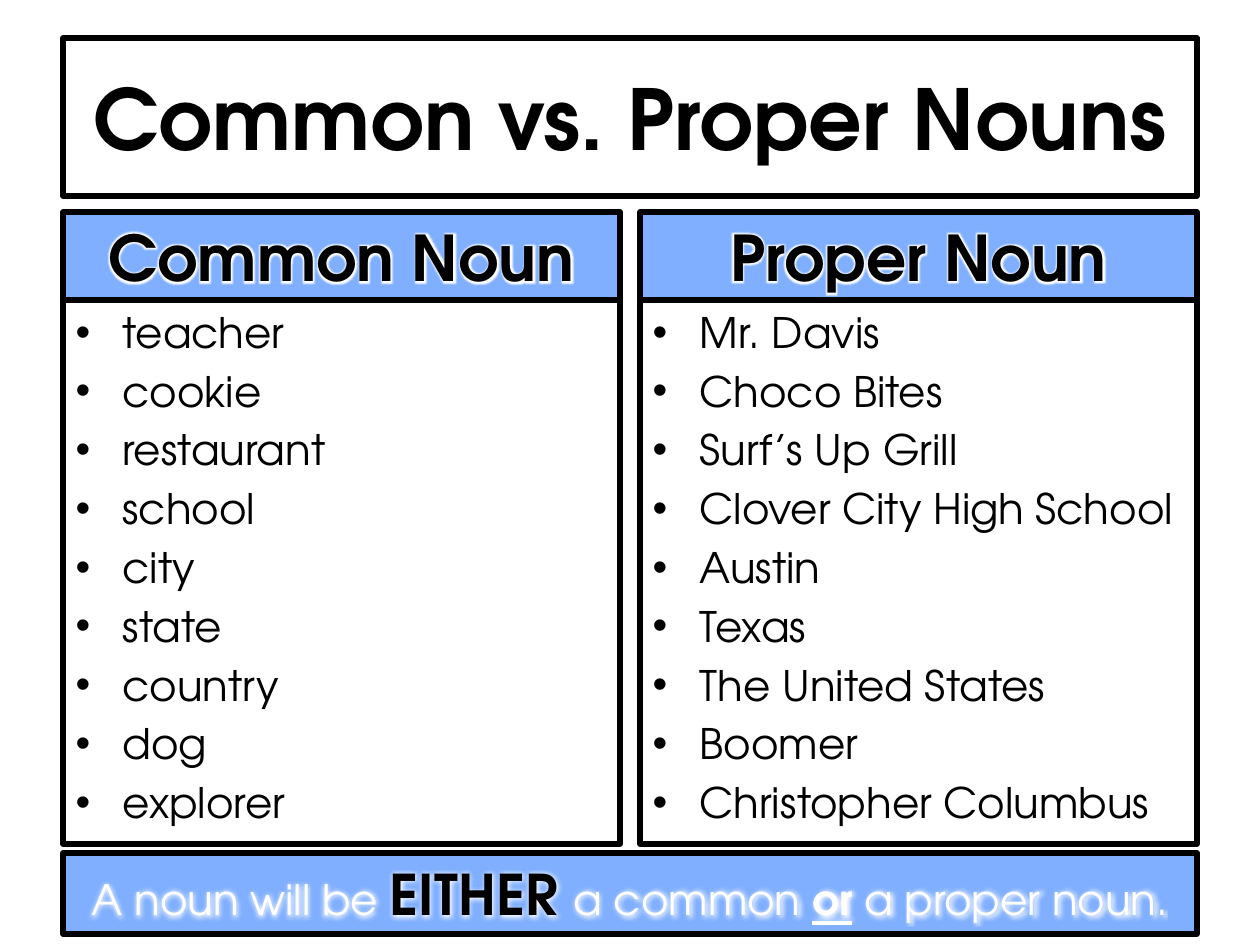
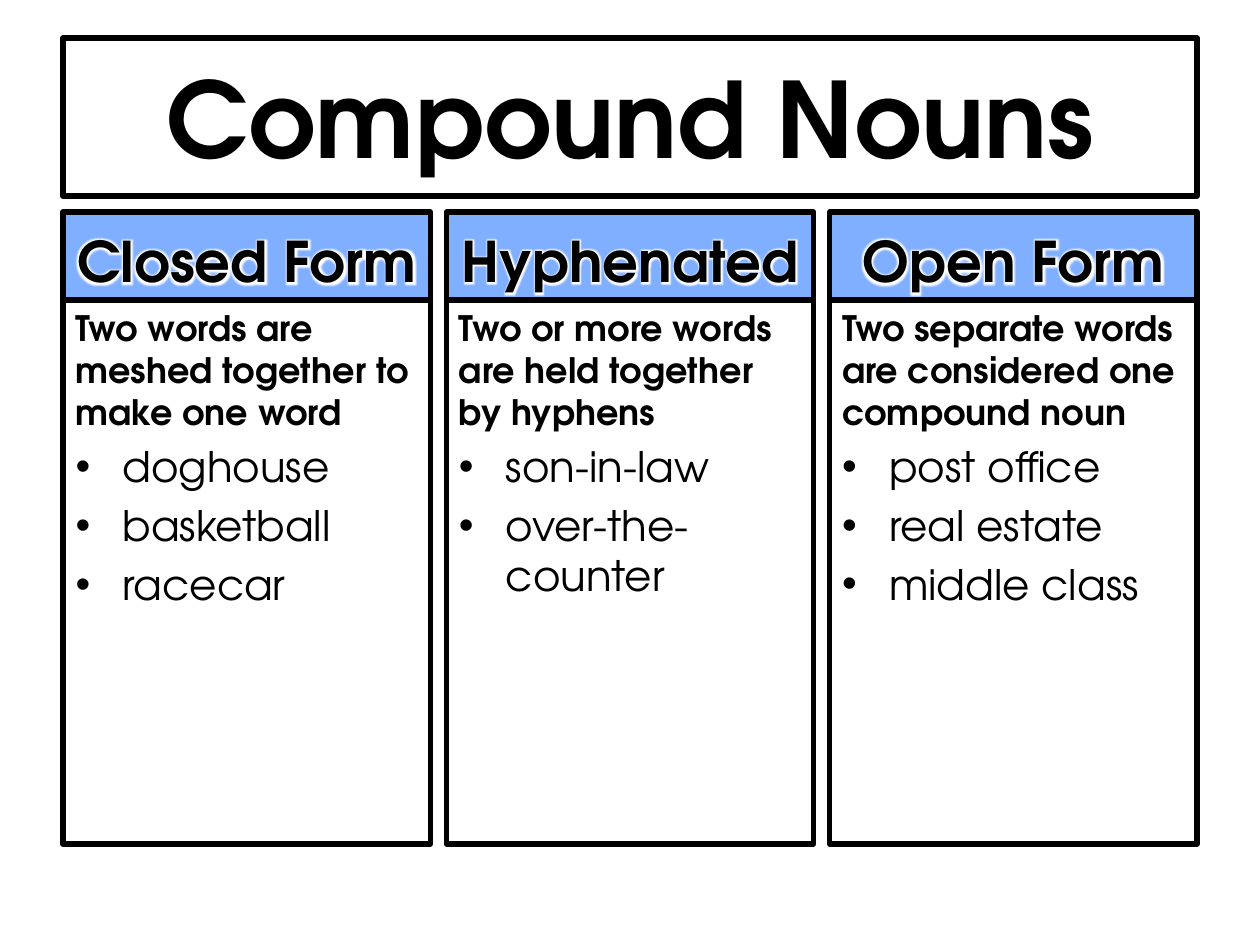
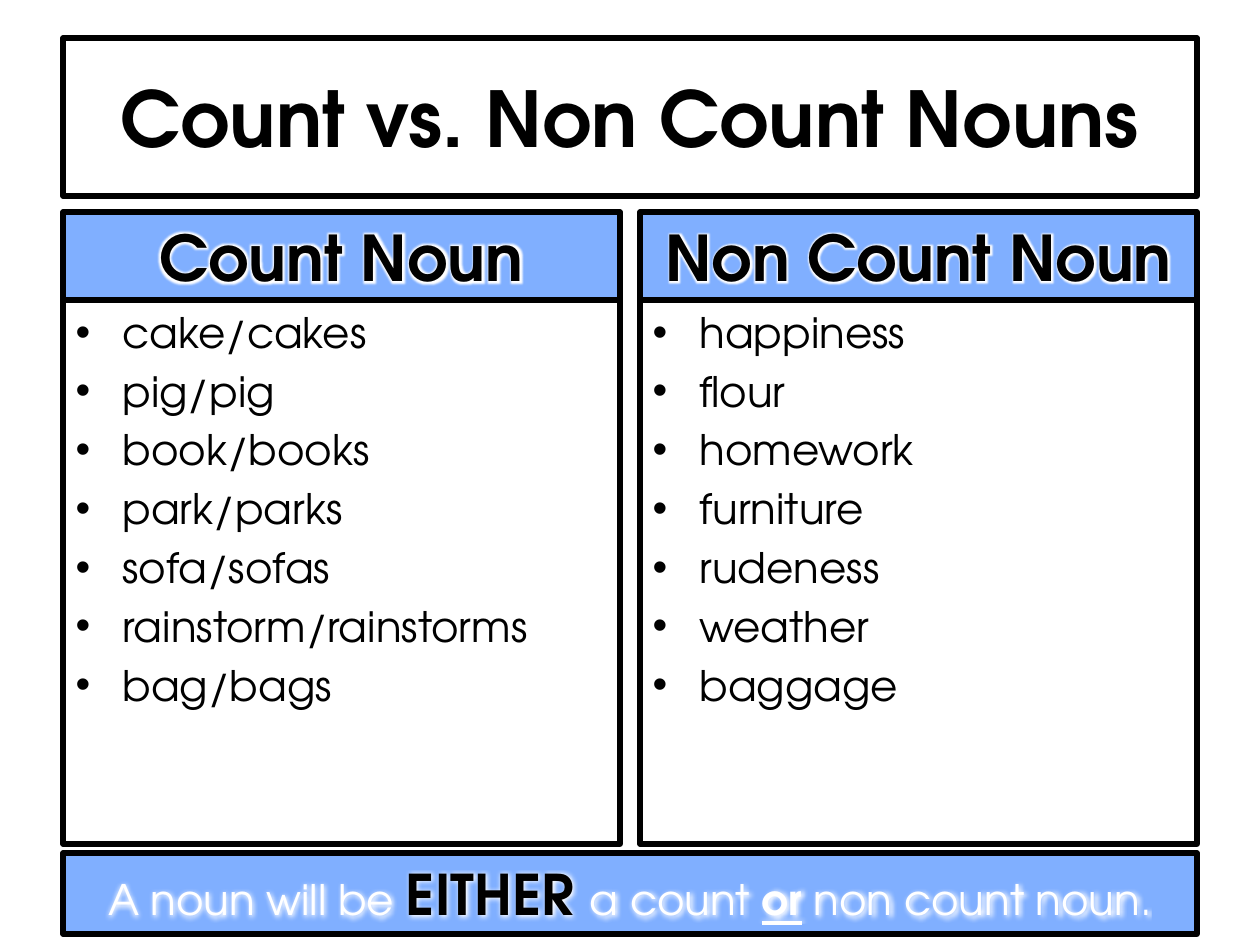
import dataclasses

import lxml.etree
import pptx
import pptx.dml.color
import pptx.enum.text
import pptx.oxml.ns
import pptx.util

ALIGN = pptx.enum.text.PP_ALIGN
ANCHOR = pptx.enum.text.MSO_ANCHOR
COMPARISON_LAYOUT = 4


@dataclasses.dataclass(frozen=True)
class Theme:
    font: str = "TeX Gyre Adventor"
    black: str = "000000"
    white: str = "FFFFFF"
    blue: str = "80AFFF"
    border: int = 3
    glow: int = 5
    lead: int = 20
    item: int = 24
    stress: int = 32
    item_gap: float = 4.8
    indent: int = 47


THEME = Theme()
PAGE = (1260, 945)
TITLE_BOX = (63, 38, 1134, 158)
COLUMNS_BOX = (63, 212, 1134, 632)
FOOTER_BOX = (63, 853, 1134, 81)
HEADER_HEIGHT = 88

SLIDES = [
    dict(
        title="Common vs. Proper Nouns", title_size=48, header_size=36, gap=20,
        columns=[
            ("Common Noun", None,
             ["teacher", "cookie", "restaurant", "school", "city", "state",
              "country", "dog", "explorer"]),
            ("Proper Noun", None,
             ["Mr. Davis", "Choco Bites", "Surf’s Up Grill",
              "Clover City High School", "Austin", "Texas",
              "The United States", "Boomer", "Christopher Columbus"]),
        ],
        footer=("a common ", " a proper noun."),
    ),
    dict(
        title="Compound Nouns", title_size=60, header_size=32, gap=16,
        columns=[
            ("Closed Form", "Two words are meshed together to make one word",
             ["doghouse", "basketball", "racecar"]),
            ("Hyphenated", "Two or more words are held together by hyphens",
             ["son-in-law", "over-the-counter"]),
            ("Open Form", "Two separate words are considered one compound noun",
             ["post office", "real estate", "middle class"]),
        ],
        footer=None,
    ),
    dict(
        title="Count vs. Non Count Nouns", title_size=44, header_size=36, gap=20,
        columns=[
            ("Count Noun", None,
             ["cake/cakes", "pig/pig", "book/books", "park/parks",
              "sofa/sofas", "rainstorm/rainstorms", "bag/bags"]),
            ("Non Count Noun", None,
             ["happiness", "flour", "homework", "furniture", "rudeness",
              "weather", "baggage"]),
        ],
        footer=("a count ", " non count noun."),
    ),
]


def px(n):
    return pptx.util.Emu(round(n * 914400 / 126))


def rgb(color):
    return pptx.dml.color.RGBColor.from_string(color)


def add_xml(parent, tag, **attrs):
    return lxml.etree.SubElement(parent, pptx.oxml.ns.qn(tag), attrs)


def style_font(font, size, color=THEME.black, bold=False):
    font.name = THEME.font
    font.size = pptx.util.Pt(size)
    font.bold = bold
    font.color.rgb = rgb(color)


def add_glow(r):
    effects = add_xml(r._r.get_or_add_rPr(), "a:effectLst")
    glow = add_xml(effects, "a:glow", rad=str(pptx.util.Pt(THEME.glow)))
    add_xml(glow, "a:srgbClr", val=THEME.white)


def frame(sp, box, fill, anchor):
    sp.left, sp.top, sp.width, sp.height = map(px, box)
    sp.fill.solid()
    sp.fill.fore_color.rgb = rgb(fill)
    sp.line.color.rgb = rgb(THEME.black)
    sp.line.width = pptx.util.Pt(THEME.border)
    tf = sp.text_frame
    tf.word_wrap = True
    tf.auto_size = pptx.enum.text.MSO_AUTO_SIZE.NONE
    tf.vertical_anchor = anchor
    return tf


def add_paragraph(tf, text, first, size, bold=False, bullet=False, align=ALIGN.LEFT):
    p = tf.paragraphs[0] if first else tf.add_paragraph()
    pPr = p._p.get_or_add_pPr()
    indent = px(THEME.indent) if bullet else 0
    pPr.set("marL", str(indent))
    pPr.set("indent", str(-indent))
    if bullet:
        add_xml(pPr, "a:buFont", typeface="Arial")
        add_xml(pPr, "a:buChar", char="•")
    else:
        add_xml(pPr, "a:buNone")
    p.alignment = align
    p.space_before = pptx.util.Pt(0 if first else THEME.item_gap)
    style_font(p.font, size, bold=bold)
    r = p.add_run()
    r.text = text
    return r


def add_title(s, box, text, size):
    tf = frame(s.shapes.title, box, THEME.white, ANCHOR.MIDDLE)
    add_paragraph(tf, text, True, size, bold=True, align=ALIGN.CENTER)


def add_column(header, body, box, column, header_size):
    name, lead, items = column
    left, top, width, height = box
    tf = frame(header, (left, top, width, HEADER_HEIGHT), THEME.blue, ANCHOR.BOTTOM)
    add_glow(add_paragraph(tf, name, True, header_size, bold=True, align=ALIGN.CENTER))
    body_box = (left, top + HEADER_HEIGHT, width, height - HEADER_HEIGHT)
    tf = frame(body, body_box, THEME.white, ANCHOR.TOP)
    if lead:
        add_paragraph(tf, lead, True, THEME.lead, bold=True)
    for i, item in enumerate(items):
        add_paragraph(tf, item, i == 0 and not lead, THEME.item, bullet=True)


def add_columns(s, box, columns, header_size, gap):
    left, top, total, height = box
    width = (total - gap * (len(columns) - 1)) / len(columns)
    holders = list(s.placeholders)[1:]
    while len(holders) < 2 * len(columns):
        holders.append(s.shapes.add_textbox(0, 0, 0, 0))
    for i, column in enumerate(columns):
        column_box = (left + i * (width + gap), top, width, height)
        add_column(holders[2 * i], holders[2 * i + 1], column_box, column, header_size)


def add_footer(s, box, first_kind, second_kind):
    tf = frame(s.shapes.add_textbox(0, 0, 0, 0), box, THEME.blue, ANCHOR.TOP)
    p = tf.paragraphs[0]
    p.alignment = ALIGN.CENTER
    for text, size, color, bold in [
        ("A noun will be ", THEME.item, THEME.white, False),
        ("EITHER ", THEME.stress, THEME.black, True),
        (first_kind, THEME.item, THEME.white, False),
        ("or", THEME.item, THEME.white, True),
        (second_kind, THEME.item, THEME.white, False),
    ]:
        r = p.add_run()
        r.text = text
        style_font(r.font, size, color, bold)
        r.font.underline = text == "or"
        latin = r._r.rPr.find(pptx.oxml.ns.qn("a:latin"))
        add_glow(r)
        r._r.rPr.append(latin)


def add_noun_slide(prs, content):
    s = prs.slides.add_slide(prs.slide_layouts[COMPARISON_LAYOUT])
    add_title(s, TITLE_BOX, content["title"], content["title_size"])
    add_columns(s, COLUMNS_BOX, content["columns"], content["header_size"], content["gap"])
    if content["footer"]:
        add_footer(s, FOOTER_BOX, *content["footer"])


def main():
    prs = pptx.Presentation()
    prs.slide_width, prs.slide_height = map(px, PAGE)
    for content in SLIDES:
        add_noun_slide(prs, content)
    prs.save("out.pptx")


if __name__ == "__main__":
    main()
